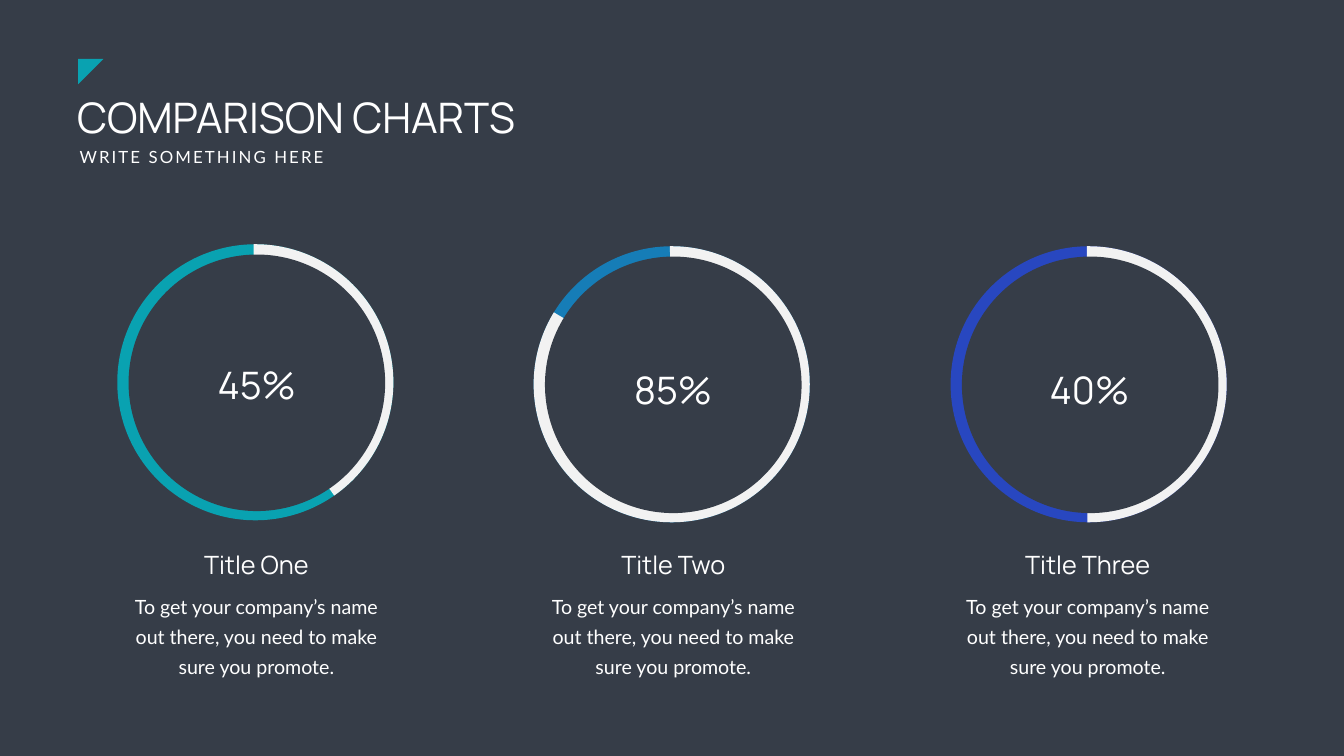
from pptx import Presentation
from pptx.dml.color import RGBColor
from pptx.enum import shapes, text
from pptx.util import Inches, Pt

# Content
TITLE = "COMPARISON CHARTS"
SUBTITLE = "WRITE SOMETHING HERE"
BODY = "To get your company’s name out there, you need to make sure you promote."
COLORS = {
    "background": "363D48", "white": "FFFFFF", "track": "F2F2F2",
    "teal": "09A2B1", "blue": "167DB7", "indigo": "2847C0",
}
# Ring left and top, percent left and top, body left, arc end in degrees
CHARTS = [
    {"percent": "45%", "title": "Title One", "fill": "teal", "line": "teal",
     "ring": (2.5, 5.02), "label": (4.2, 7.13), "body": 2.21, "end": 55.19},
    {"percent": "85%", "title": "Title Two", "fill": "indigo", "line": "blue",
     "ring": (10.76, 5.06), "label": (12.46, 7.22), "body": 10.48, "end": 211.44},
    {"percent": "40%", "title": "Title Three", "fill": "teal", "line": "indigo",
     "ring": (19.03, 5.06), "label": (20.72, 7.22), "body": 18.7, "end": 90.58},
]
RING, HOLE = 5.13, 5.09
ARC_START = 269.26
ARC_UNIT = 0.6  # adjustment units per degree
TITLE_WIDTH, BODY_WIDTH = 2.8, 5.75

deck = Presentation()
deck.slide_width, deck.slide_height = Inches(26.66), Inches(15)
page = deck.slides.add_slide(deck.slide_layouts[6])


def color(name):
    return RGBColor.from_string(COLORS[name])


page.background.fill.solid()
page.background.fill.fore_color.rgb = color("background")


def add_text(words, left, top, width, height, size, font="Manrope", wrap=False,
             centered=True, inset=(0.1, 0.05), leading=None, spacing=None):
    box = page.shapes.add_textbox(*map(Inches, (left, top, width, height)))
    frame = box.text_frame
    frame.word_wrap = wrap
    frame.auto_size = text.MSO_AUTO_SIZE.SHAPE_TO_FIT_TEXT
    frame.margin_left = frame.margin_right = Inches(inset[0])
    frame.margin_top = frame.margin_bottom = Inches(inset[1])
    para = frame.paragraphs[0]
    para.alignment = text.PP_ALIGN.CENTER if centered else text.PP_ALIGN.LEFT
    if leading:
        para.line_spacing = Pt(leading)
    span = para.add_run()
    span.text = words
    span.font.size = Pt(size)
    span.font.name = font
    span.font.color.rgb = color("white")
    if spacing:
        span.font._element.set("spc", str(spacing * 100))


def add_figure(kind, left, top, size, fill=None, line=None):
    figure = page.shapes.add_shape(kind, *map(Inches, (left, top, size, size)))
    figure.shadow.inherit = False
    if fill:
        figure.fill.solid()
        figure.fill.fore_color.rgb = color(fill)
    else:
        figure.fill.background()
    if line:
        figure.line.color.rgb = color(line)
        figure.line.width = Pt(25)
    else:
        figure.line.fill.background()
    return figure


# Heading
kinds = shapes.MSO_SHAPE
add_text(TITLE, 1.43, 1.76, 15.23, 1.11, 60, wrap=True, centered=False)
add_text(SUBTITLE, 1.48, 2.87, 5.14, 0.5, 24, font="Lato", centered=False, spacing=3)
add_figure(kinds.RIGHT_TRIANGLE, 1.55, 1.17, 0.5, fill="teal").rotation = 90

for chart in CHARTS:
    # Ring with its track and hole
    left, top = chart["ring"]
    add_figure(kinds.OVAL, left, top, RING, chart["fill"], chart["line"])
    arc = add_figure(kinds.ARC, left, top, RING, line="track")
    arc.adjustments[0] = ARC_START * ARC_UNIT
    arc.adjustments[1] = chart["end"] * ARC_UNIT
    add_figure(kinds.OVAL, left + 0.05, top + 0.03, HOLE, fill="background")
    add_text(chart["percent"], *chart["label"], 1.78, 1.01, 54)

    # Caption, with the title centred over the body
    body_left = chart["body"]
    title_left = body_left + (BODY_WIDTH - TITLE_WIDTH) / 2
    add_text(chart["title"], title_left, 10.84, TITLE_WIDTH, 0.71, 36)
    add_text(BODY, body_left, 11.55, BODY_WIDTH, 1.99, 28, font="Lato", wrap=True,
             inset=(0.24, 0.12), leading=43)

deck.save("out.pptx")
